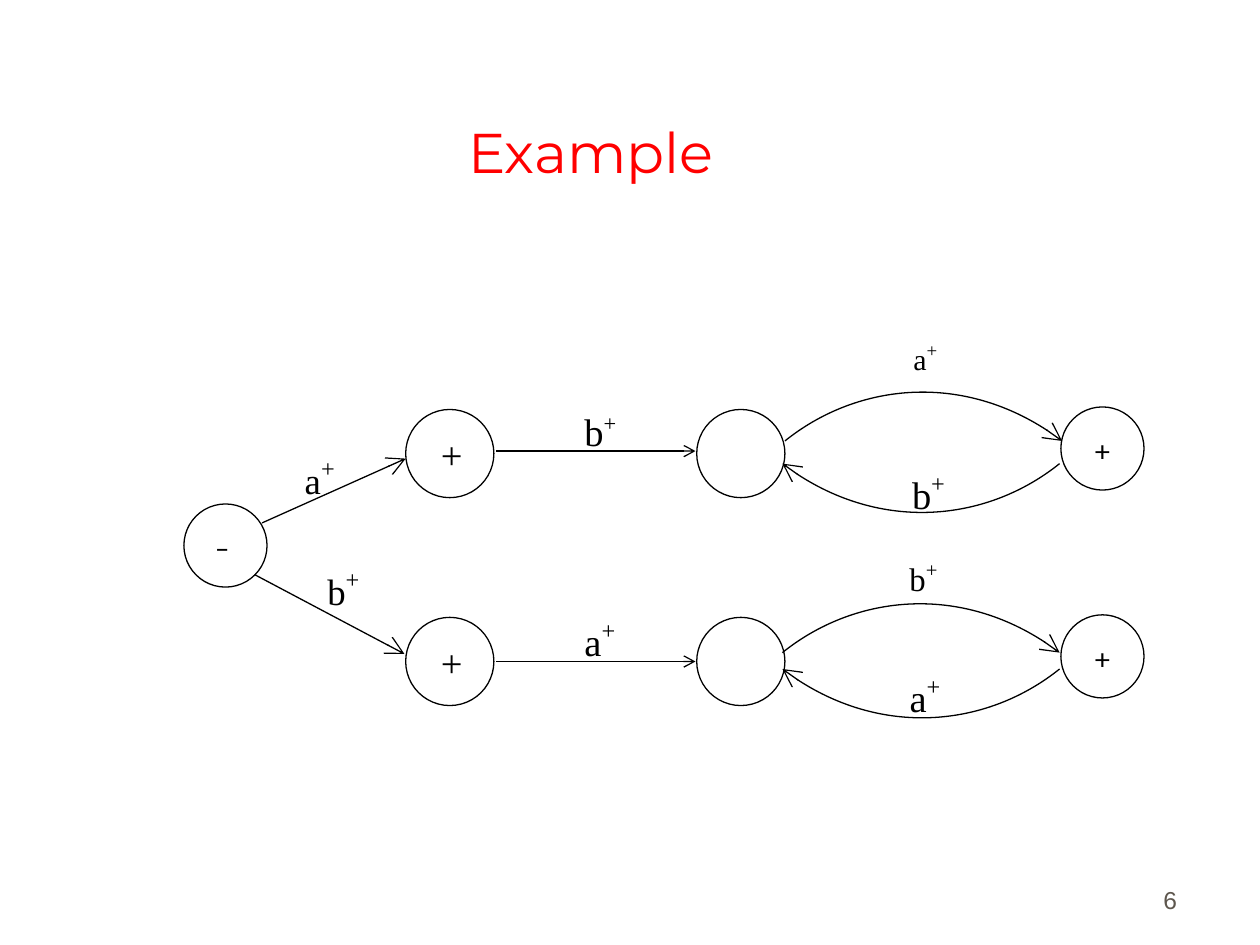
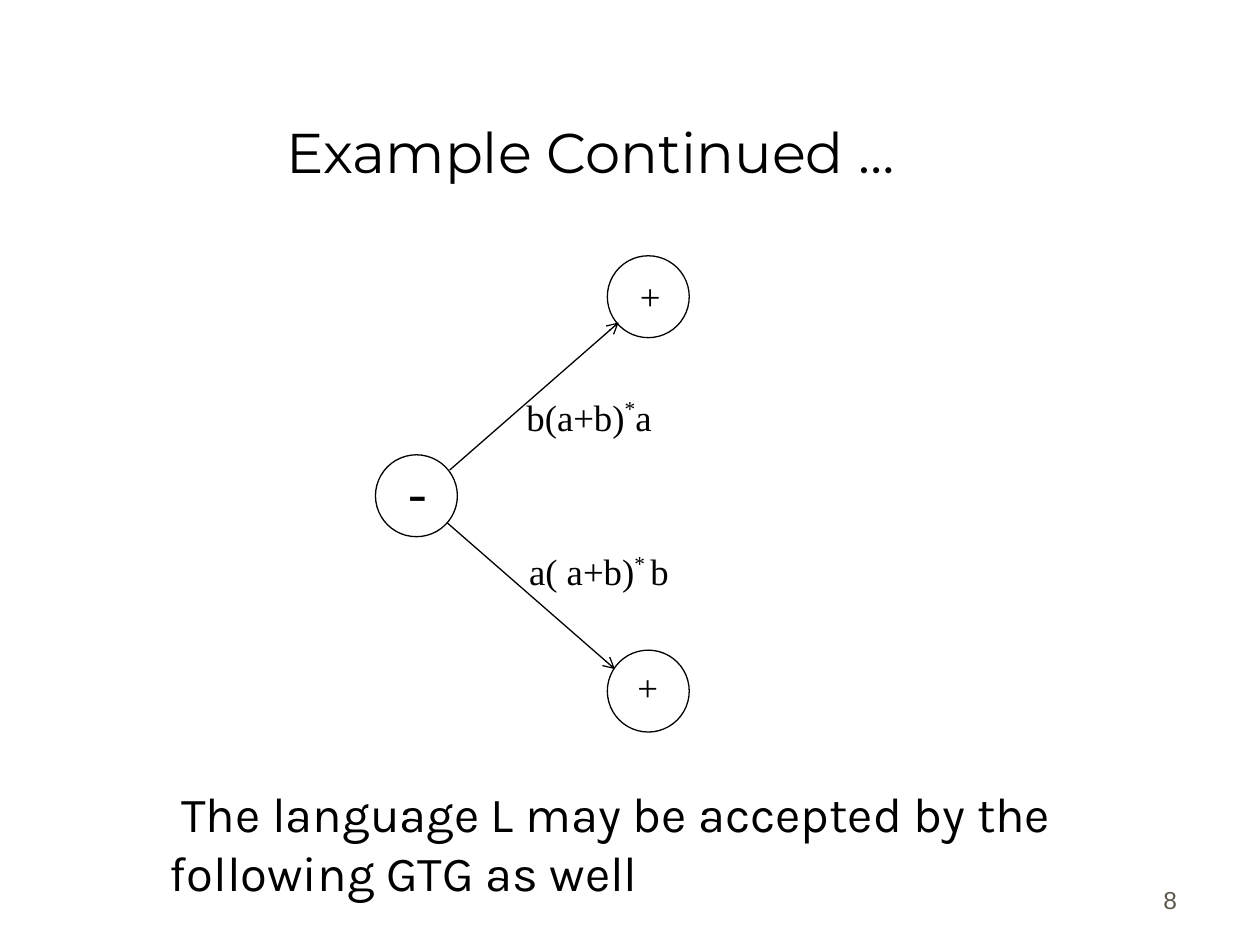
from dataclasses import dataclass

import pptx
import pptx.dml.color
import pptx.enum.shapes
import pptx.enum.text
import pptx.oxml
import pptx.oxml.ns
import pptx.util

Inches = pptx.util.Inches
Pt = pptx.util.Pt
Align = pptx.enum.text.PP_ALIGN
Anchor = pptx.enum.text.MSO_ANCHOR

BLACK, WHITE, RED, GREY = "000000", "FFFFFF", "FF0000", "5E574E"
SERIF, BODY, HEADING, NUMBER = "Times New Roman", "Karla", "Montserrat", "Arial"
ROW_PITCH = 1.65


@dataclass
class State:
    left: float
    top: float
    size: float


@dataclass
class Arrow:
    x1: float
    y1: float
    x2: float
    y2: float
    head: str = "med"


@dataclass
class Curve:
    x: float
    y: float
    direction: int


@dataclass
class Label:
    left: float
    top: float
    width: float
    height: float
    text: str
    size: float
    power: str = ""
    power_size: float = 24
    rest: str = ""
    font: str = SERIF
    color: str = BLACK
    align: Align = Align.LEFT
    anchor: Anchor = Anchor.TOP
    spacing: float = 1.0


def rgb(color: str) -> pptx.dml.color.RGBColor:
    return pptx.dml.color.RGBColor.from_string(color)


def style_run(r, font: str, size: float, color: str) -> None:
    r.font.name = font
    r.font.size = Pt(size)
    r.font.color.rgb = rgb(color)


def style_line(line, head: str = "") -> None:
    line.color.rgb = rgb(BLACK)
    line.width = Pt(0.75)
    if head:
        tail = pptx.oxml.parse_xml(
            f'<a:tailEnd {pptx.oxml.ns.nsdecls("a")} type="arrow" w="{head}" len="{head}"/>')
        line._get_or_add_ln().append(tail)


def add_state(slide, state: State) -> None:
    sp = slide.shapes.add_shape(
        pptx.enum.shapes.MSO_SHAPE.OVAL, Inches(state.left), Inches(state.top),
        Inches(state.size), Inches(state.size))
    sp.shadow.inherit = False
    sp.fill.solid()
    sp.fill.fore_color.rgb = rgb(WHITE)
    style_line(sp.line)


def add_arrow(slide, arrow: Arrow) -> None:
    line = slide.shapes.add_connector(
        pptx.enum.shapes.MSO_CONNECTOR.STRAIGHT, Inches(arrow.x1), Inches(arrow.y1),
        Inches(arrow.x2), Inches(arrow.y2))
    style_line(line.line, arrow.head)
    line._element.spPr.append(
        pptx.oxml.parse_xml(f'<a:effectLst {pptx.oxml.ns.nsdecls("a")}/>'))


def add_curve(slide, curve: Curve) -> None:
    offsets = [(0.56, 0.45), (1.47, 0.56), (2.2, 0)]
    points = [(Inches(curve.x + curve.direction * dx), Inches(curve.y - curve.direction * dy))
              for dx, dy in offsets]
    builder = slide.shapes.build_freeform(Inches(curve.x), Inches(curve.y))
    builder.add_line_segments(points, close=False)
    sp = builder.convert_to_shape()
    sp.shadow.inherit = False
    sp.fill.background()
    style_line(sp.line, "lg")
    outline = sp._element.find(".//" + pptx.oxml.ns.qn("a:path"))
    bezier = pptx.oxml.parse_xml(f'<a:cubicBezTo {pptx.oxml.ns.nsdecls("a")}/>')
    for segment in outline.findall(pptx.oxml.ns.qn("a:lnTo")):
        bezier.append(segment[0])
        outline.remove(segment)
    outline.append(bezier)


def add_label(slide, label: Label) -> None:
    box = slide.shapes.add_textbox(
        Inches(label.left), Inches(label.top), Inches(label.width), Inches(label.height))
    tf = box.text_frame
    tf.word_wrap = True
    tf.vertical_anchor = label.anchor
    p = tf.paragraphs[0]
    p.alignment = label.align
    p.line_spacing = label.spacing
    parts = [(label.text, label.size, 0), (label.power, label.power_size, 40000),
             (label.rest, label.size, 0)]
    for text, size, baseline in parts:
        if text:
            r = p.add_run()
            r.text = text
            style_run(r, label.font, size, label.color)
            if baseline:
                r.font._element.set("baseline", str(baseline))


def new_slide(prs, title: str, color: str, number: str):
    slide = prs.slides.add_slide(prs.slide_layouts[5])
    sp = slide.shapes.title
    sp.left, sp.top, sp.width, sp.height = (Inches(v) for v in (0.44, 0.25, 8.5, 1.25))
    tf = sp.text_frame
    tf.text = title
    tf.vertical_anchor = Anchor.BOTTOM
    tf.margin_bottom = Inches(0.03)
    p = tf.paragraphs[0]
    p.alignment = Align.CENTER
    style_run(p.runs[0], HEADING, 32, color)
    add_label(slide, Label(7.36, 6.81, 2.08, 0.5, number, 14, font=NUMBER, color=GREY,
                           align=Align.RIGHT, anchor=Anchor.BOTTOM))
    return slide


def draw(slide, states: list, arrows: list, curves: list, labels: list) -> None:
    for items, add in ((states, add_state), (arrows, add_arrow),
                       (curves, add_curve), (labels, add_label)):
        for item in items:
            add(slide, item)


def sign(left: float, top: float, text: str) -> Label:
    return Label(left, top, 0.92, 0.47, text, 16, font=BODY, align=Align.CENTER)


def build_two_branches(prs) -> None:
    slide = new_slide(prs, "Example", RED, "6")
    states = [State(1.46, 4, 0.66)]
    labels = [sign(1.33, 4.16, "– ")]
    for row in range(2):
        dy = row * ROW_PITCH
        states += [State(3.22, 3.25 + dy, 0.7), State(5.53, 3.25 + dy, 0.7),
                   State(8.42, 3.23 + dy, 0.66)]
        labels += [Label(3.4, 3.37 + dy, 0.98, 0.67, "+", 22), sign(8.29, 3.38 + dy, "+")]
    arrows = [
        Arrow(2.08, 4.15, 3.22, 3.64, "lg"),
        Arrow(2.02, 4.56, 3.21, 5.19, "lg"),
        Arrow(3.94, 3.58, 5.52, 3.58),
        Arrow(3.94, 5.25, 5.52, 5.25),
    ]
    curves = [Curve(6.23, 3.5, 1), Curve(8.41, 3.68, -1),
              Curve(6.21, 5.18, 1), Curve(8.41, 5.31, -1)]
    labels += [
        Label(2.32, 3.54, 0.7, 0.71, "a", 21, "+"),
        Label(2.5, 4.42, 0.7, 0.53, "b", 21, "+"),
        Label(4.54, 3.19, 0.98, 0.67, "b", 22, "+", 22),
        Label(4.54, 4.83, 0.98, 0.67, "a", 22, "+"),
        Label(7.15, 2.69, 0.75, 0.42, "a", 17.1, "+", 18.6, spacing=0.8),
        Label(7.14, 3.66, 0.76, 0.5, "b", 22, "+"),
        Label(7.12, 4.4, 0.7, 0.44, "b", 18.7, "+", 20.4, spacing=0.9),
        Label(7.12, 5.27, 0.69, 0.5, "a", 22, "+"),
    ]
    draw(slide, states, arrows, curves, labels)


def build_short_graph(prs) -> None:
    slide = new_slide(prs, "Example Continued …", BLACK, "8")
    states = [State(left, top, 0.65) for left, top in ((2.98, 3.61), (4.82, 2.03), (4.82, 5.16))]
    arrows = [Arrow(3.57, 3.73, 4.91, 2.56), Arrow(3.55, 4.15, 4.88, 5.31)]
    labels = [
        Label(4.08, 3.08, 3.14, 0.71, "b(a+b)", 21, "*", 21, "a"),
        Label(4.1, 4.31, 1.81, 0.53, "a( a+b)", 21, "* ", 21, "b"),
        Label(3.14, 3.57, 0.98, 0.68, "-", 32),
        Label(4.98, 2.12, 0.98, 0.68, "+", 21),
        Label(4.96, 5.23, 0.98, 0.68, "+", 21),
        Label(1.25, 6.17, 7.67, 1.04,
              " The language L may be accepted by the following GTG as well", 28, font=BODY),
    ]
    draw(slide, states, arrows, [], labels)


def main() -> None:
    prs = pptx.Presentation()
    prs.slide_width, prs.slide_height = Inches(10), Inches(7.5)
    build_two_branches(prs)
    build_short_graph(prs)
    prs.save("out.pptx")


if __name__ == "__main__":
    main()
